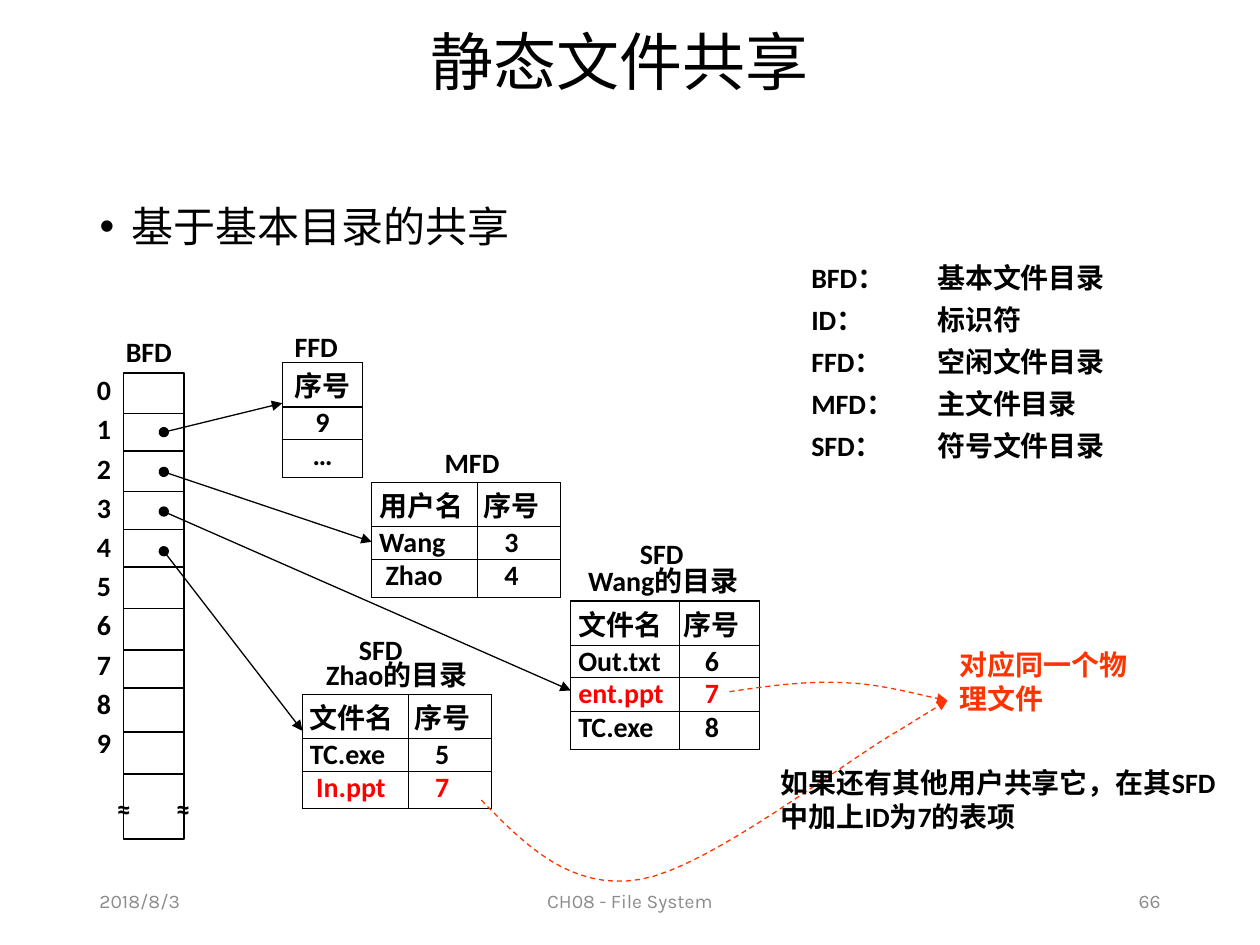
from dataclasses import dataclass

from lxml.etree import SubElement
from pptx import Presentation
from pptx.dml.color import RGBColor as RGB
from pptx.enum.dml import MSO_LINE
from pptx.enum.shapes import MSO_SHAPE as SHAPE
from pptx.enum.text import MSO_ANCHOR as ANCHOR, PP_ALIGN as ALIGN
from pptx.oxml import parse_xml
from pptx.oxml.ns import nsdecls, qn
from pptx.util import Inches, Pt


@dataclass(frozen=True)
class Theme:
    ink: str = "000000"
    shared: str = "FF0000"
    accent: str = "FF3300"
    muted: str = "8C8C8C"
    latin: str = "Calibri"
    cjk: str = "Noto Sans CJK SC"
    footer: str = "Karla"
    title_size: int = 36
    body_size: int = 24
    text_size: int = 16
    footer_size: int = 11
    line: float = 0.75


T = Theme()


def add_run(p, text, size=T.text_size, color=T.ink, font=T.latin, bold=True):
    r = p.add_run()
    r.text = text
    r.font.size, r.font.bold, r.font.name = Pt(size), bold, font
    r.font.color.rgb = RGB.from_string(color)
    SubElement(r._r.get_or_add_rPr(), qn("a:ea")).set("typeface", font)


def place(shape, x, y, w, h):
    shape.left, shape.top = Inches(x), Inches(y)
    shape.width, shape.height = Inches(w), Inches(h)


def add_text(s, box, *lines, align=ALIGN.LEFT, gap=0, anchor=ANCHOR.TOP,
             inset=0.05, tab=None, **fmt):
    tf = s.shapes.add_textbox(*map(Inches, box)).text_frame
    tf.word_wrap = True
    tf.vertical_anchor = anchor
    tf.margin_top = tf.margin_bottom = Inches(inset)
    for i, line in enumerate(lines):
        p = tf.add_paragraph() if i else tf.paragraphs[0]
        p.alignment = align
        if i:
            p.space_before = Pt(gap)
        if tab:
            stops = SubElement(p._p.get_or_add_pPr(), qn("a:tabLst"))
            SubElement(stops, qn("a:tab"), pos=str(Inches(tab)), algn="l")
        add_run(p, line, **fmt)


def outline_cell(cell):
    cell.fill.background()
    tcPr = cell._tc.get_or_add_tcPr()
    for i, side in enumerate(("lnL", "lnR", "lnT", "lnB")):
        tcPr.insert(i, parse_xml(
            f'<a:{side} {nsdecls("a")} w="{Pt(T.line)}"><a:solidFill>'
            f'<a:srgbClr val="{T.ink}"/></a:solidFill></a:{side}>'))


def add_grid(s, x, y, widths, heights, rows, shared=None, centered=False):
    """Outlined table; the row numbered `shared` is highlighted."""
    size = map(Inches, (x, y, sum(widths), sum(heights)))
    table = s.shapes.add_table(len(heights), len(widths), *size).table
    table.first_row = table.horz_banding = False
    for col, w in zip(table.columns, widths):
        col.width = Inches(w)
    for i, (row, h, texts) in enumerate(zip(table.rows, heights, rows)):
        row.height = Inches(h)
        for j, (cell, text) in enumerate(zip(row.cells, texts)):
            outline_cell(cell)
            cell.vertical_anchor = ANCHOR.TOP if i else ANCHOR.MIDDLE
            cell.margin_top = Inches(0 if i else 0.04)
            cell.margin_bottom = 0
            cell.margin_left = Inches(0 if j or centered else 0.06)
            cell.margin_right = Inches(0.12 if j else 0)
            p = cell.text_frame.paragraphs[0]
            p.alignment = ALIGN.CENTER if j or centered else ALIGN.LEFT
            if i:
                p.line_spacing = 0.95
            add_run(p, text, color=T.shared if i == shared else T.ink)


def style_line(line, color=T.ink, **ends):
    line.color.rgb = RGB.from_string(color)
    line.width = Pt(T.line)
    ln = line._get_or_add_ln()
    for end in ("headEnd", "tailEnd"):
        if end in ends:
            SubElement(ln, qn(f"a:{end}")).set("type", ends[end])


def add_line(s, start, end, **ends):
    c = s.shapes.add_connector(1, *map(Inches, (*start, *end)))
    style_line(c.line, **ends)
    SubElement(c._element.spPr, qn("a:effectLst"))


def add_box(s, *box):
    shape = s.shapes.add_shape(SHAPE.RECTANGLE, *map(Inches, box))
    shape.shadow.inherit = False
    shape.fill.background()
    style_line(shape.line)


def bezier(points, steps=16):
    for n in range(1, steps + 1):
        t = n / steps
        weights = ((1 - t) ** 3, 3 * t * (1 - t) ** 2, 3 * t * t * (1 - t), t ** 3)
        yield tuple(Inches(sum(w * pt[k] for w, pt in zip(weights, points)))
                    for k in (0, 1))


def add_curve(s, points):
    """Dashed arrow through cubic segments that share their end points."""
    fb = s.shapes.build_freeform(*map(Inches, points[0]), scale=1.0)
    for i in range(0, len(points) - 1, 3):
        fb.add_line_segments(list(bezier(points[i:i + 4])), close=False)
    shape = fb.convert_to_shape()
    shape.shadow.inherit = False
    shape.fill.background()
    shape.line.dash_style = MSO_LINE.DASH
    style_line(shape.line, T.accent, tailEnd="triangle")


def add_headings(s):
    title, body = s.shapes.title, s.placeholders[1]
    place(title, 0.61, 0.14, 8.62, 0.76)
    title.text_frame.vertical_anchor = ANCHOR.MIDDLE
    p = title.text_frame.paragraphs[0]
    p.alignment, p.line_spacing = ALIGN.CENTER, 0.9
    add_run(p, "静态文件共享", size=T.title_size, font=T.cjk, bold=False)

    place(body, 0.69, 1.44, 8.62, 5.38)
    p = body.text_frame.paragraphs[0]
    pPr = p._p.get_or_add_pPr()
    pPr.set("marL", str(Inches(0.25)))
    pPr.set("indent", str(Inches(-0.25)))
    SubElement(pPr, qn("a:buChar")).set("char", "•")
    p.line_spacing, p.space_before = 1.25, Pt(0)
    add_run(p, "基于基本目录的共享", size=T.body_size, font=T.cjk, bold=False)


def add_footer(s):
    for x, w, text, align in ((0.69, 2.25, "2018/8/3", ALIGN.LEFT),
                              (3.31, 3.38, "CH08 - File System", ALIGN.CENTER),
                              (7.06, 2.25, "66", ALIGN.RIGHT)):
        add_text(s, (x, 6.95, w, 0.4), text, align=align, anchor=ANCHOR.MIDDLE,
                 size=T.footer_size, color=T.muted, font=T.footer, bold=False)


def add_basic_directory(s):
    """Column of slots with its index and break marks."""
    left, width = 0.98, 0.48
    add_box(s, left, 2.96, width, 3.19)
    add_box(s, left, 6.14, width, 0.52)
    for y in (3.28, 3.58, 3.9, 4.2, 4.5, 4.83, 5.16, 5.46, 5.81):
        add_line(s, (left, y), (left + width, y))
    add_text(s, (0.51, 2.91, 0.47, 3.26), *map(str, range(10)),
             align=ALIGN.RIGHT, gap=3.2)
    for x in (0.83, 1.3):
        add_text(s, (x, 6.28, 0.32, 0.27), "≈", inset=0)


def main():
    prs = Presentation()
    prs.slide_width, prs.slide_height = Inches(10), Inches(7.5)
    s = prs.slides.add_slide(prs.slide_layouts[1])
    add_headings(s)
    add_footer(s)
    add_basic_directory(s)

    # Free, master and symbol directories
    short, tall = (0.35, 0.26, 0.3), (0.35, 0.26, 0.27, 0.3)
    add_grid(s, 2.24, 2.88, [0.64], short, [["序号"], ["9"], ["…"]], centered=True)
    add_grid(s, 2.95, 3.83, (0.84, 0.66), short,
             [("用户名", "序号"), ("Wang", "3"), (" Zhao", "4")])
    add_grid(s, 2.4, 5.51, (0.84, 0.66), short,
             [("文件名", "序号"), ("TC.exe", "5"), (" In.ppt", "7")], shared=2)
    add_grid(s, 4.53, 4.77, (0.86, 0.64), tall,
             [("文件名", "序号"), ("Out.txt", "6"), ("ent.ppt", "7"),
              ("TC.exe", "8")], shared=2)

    # Directory names
    for x, y, w, name in ((0.9, 2.61, 0.72, "BFD"), (2.24, 2.57, 0.72, "FFD"),
                          (3.43, 3.49, 0.72, "MFD"), (4.98, 4.21, 0.72, "SFD"),
                          (4.57, 4.42, 1.5, "Wang的目录"),
                          (2.75, 4.97, 0.72, "SFD"),
                          (2.49, 5.17, 1.42, "Zhao的目录")):
        add_text(s, (x, y, w, 0.37), name)

    # Pointers from the basic directory
    targets = ((2.24, 3.2), (2.95, 4.3), (4.53, 5.48), (2.4, 5.8))
    for i, target in enumerate(targets):
        add_line(s, (1.3, 3.43 + i * 0.315), target,
                 headEnd="oval", tailEnd="triangle")

    # Shared physical file
    shared_file = (7.52, 5.56)
    add_curve(s, [(3.82, 6.35), (4.17, 6.71), (4.53, 7.07), (5.08, 6.98),
                  (5.63, 6.89), (6.72, 6.03), (7.13, 5.8),
                  (7.26, 5.72), (7.39, 5.64), shared_file])
    add_curve(s, [(5.79, 5.49), (6.12, 5.44), (6.44, 5.4), (6.73, 5.42),
                  (7.02, 5.43), (7.39, 5.54), shared_file])
    add_text(s, (7.52, 5.09, 1.73, 0.64), "对应同一个物理文件", color=T.accent)

    # Abbreviations and remark
    add_text(s, (6.34, 2.02, 3.31, 1.77), "BFD：\t基本文件目录", "ID：\t标识符",
             "FFD：\t空闲文件目录", "MFD：\t主文件目录", "SFD：\t符号文件目录",
             gap=4.8, tab=1)
    add_text(s, (6.1, 6.03, 3.7, 0.64),
             "如果还有其他用户共享它，在其SFD中加上ID为7的表项")

    prs.save("out.pptx")


if __name__ == "__main__":
    main()
